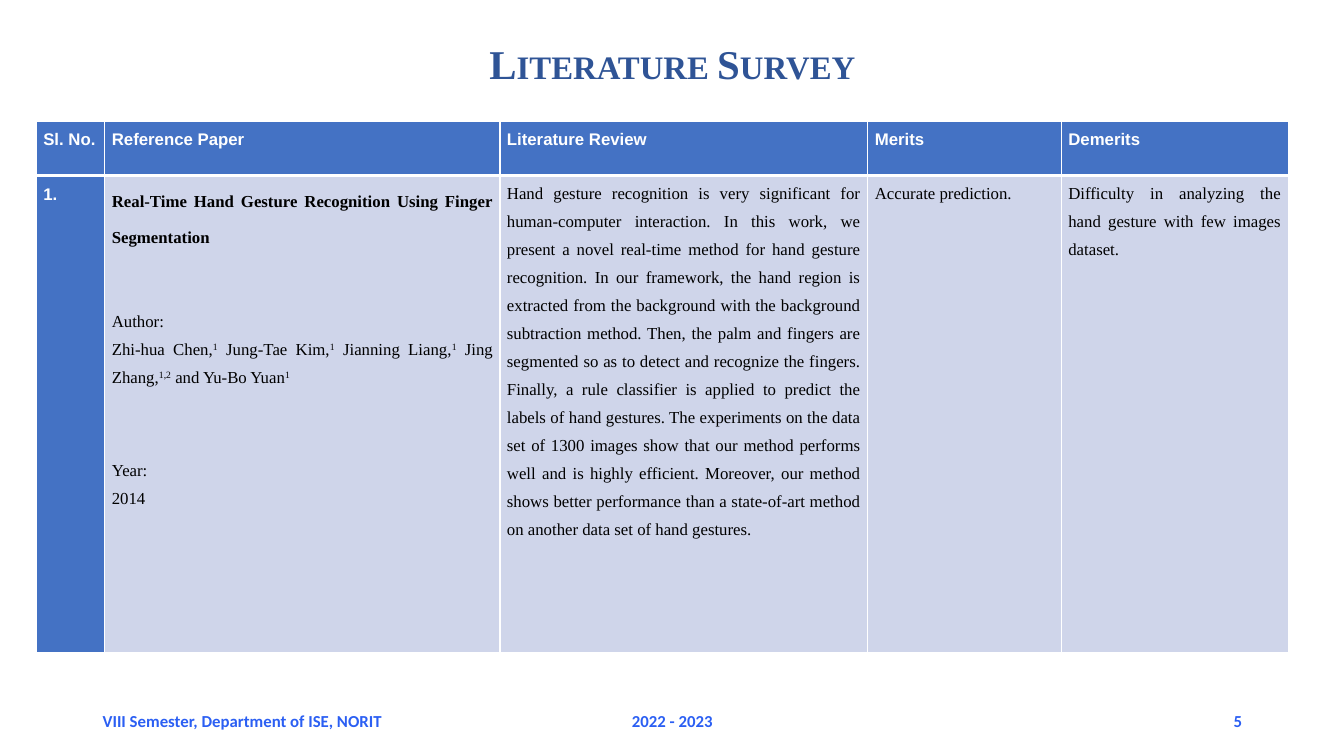
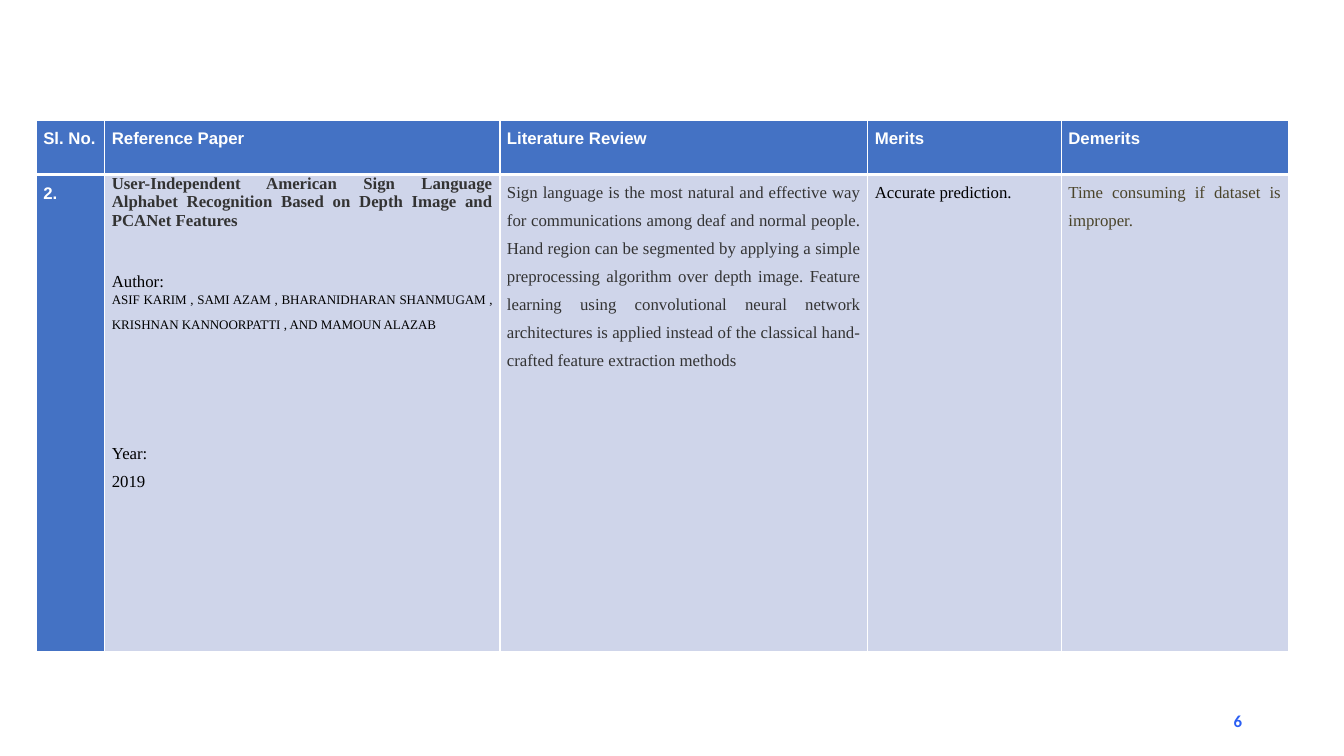
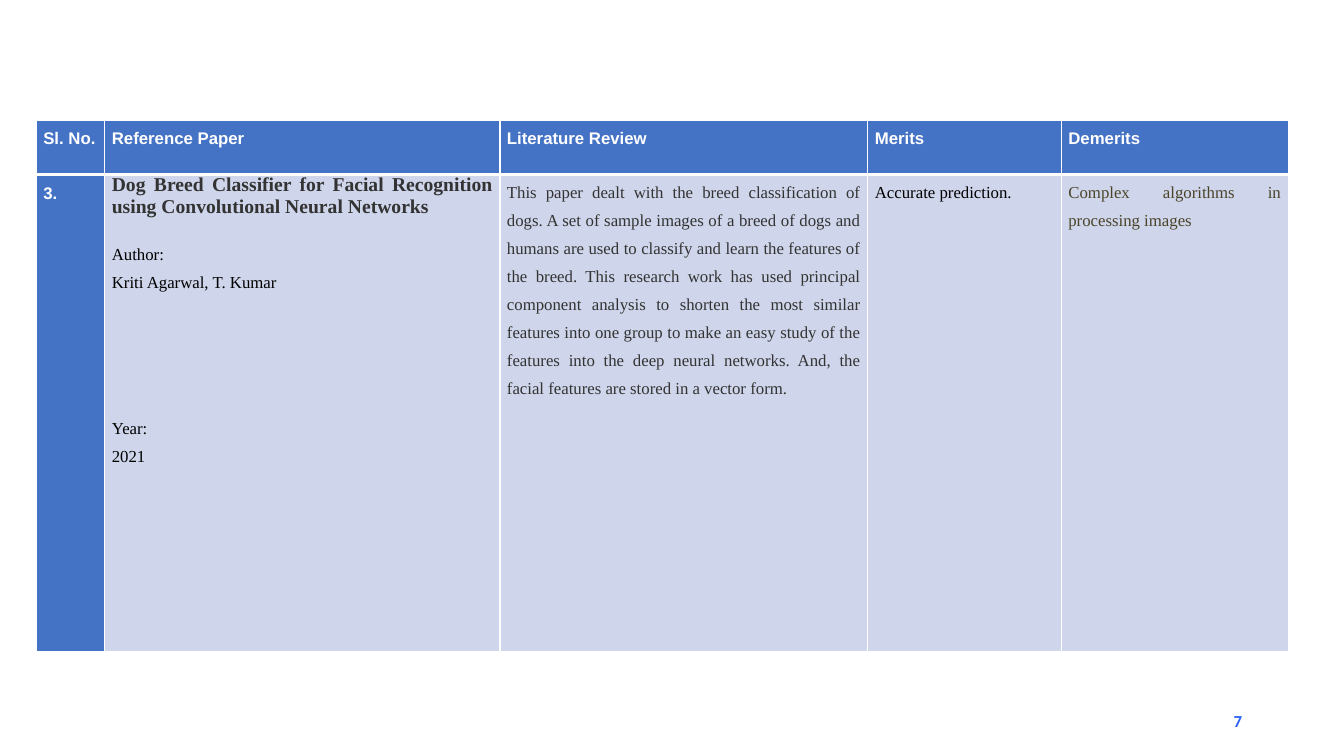
from lxml import etree
from pptx import Presentation
from pptx import util as u
from pptx.dml.color import RGBColor
from pptx.enum import text
from pptx.oxml.ns import qn

PX = 9144  # 100 px to the inch
SERIF, SANS, FOOT = "Times New Roman", "Arial", "Calibri"
BLUE, PALE, WHITE, BLACK = "4472C4", "CFD5EA", "FFFFFF", "000000"
NAVY, LINK, GREY, OLIVE = "2F5496", "2B5FF3", "333333", "4A442A"
AL, MID, LOW = text.PP_ALIGN, text.MSO_ANCHOR.MIDDLE, text.MSO_ANCHOR.BOTTOM


def put(par, words, size=12, font=SERIF, color=BLACK, bold=False,
        align=AL.JUSTIFY, lead=1.5, after=0, **attrs):
    """Add one run to a paragraph; attrs go on the run as they are."""
    par.alignment, par.line_spacing, par.space_after = align, lead, u.Pt(after)
    run = par.add_run()
    run.text = words
    run.font.size, run.font.name, run.font.bold = u.Pt(size), font, bold
    run.font.color.rgb = RGBColor.from_string(color)
    for key, val in attrs.items():
        run.font._element.set(key, val)


def label(slide, box, words, anchor=MID, **look):
    frame = slide.shapes.add_textbox(*[n * PX for n in box]).text_frame
    frame.word_wrap, frame.vertical_anchor = True, anchor
    put(frame.paragraphs[0], words, bold=True, lead=1.0, **look)


# Table grid
HEADS = ["Sl. No.", "Reference Paper", "Literature Review", "Merits", "Demerits"]
COLS, ROWS = [68, 392, 365, 192, 225], [54, 473]
HEAD = dict(font=SANS, color=WHITE, bold=True)
SUP = dict(baseline="30000")

# Each paper: table top, reference paragraphs (runs, look), review, demerit, colours
PAPERS = [
    dict(
        top=120,
        ref=[
            (["Real-Time Hand Gesture Recognition Using Finger Segmentation"],
             dict(bold=True, lead=u.Pt(25.5), after=40)),
            (["Author:"], {}),
            (["Zhi-hua Chen,", "1", " Jung-Tae Kim,", "1", " Jianning Liang,", "1",
              " Jing Zhang,", "1,2", " and Yu-Bo Yuan", "1"], dict(after=47)),
            (["Year:"], {}),
            (["2014"], {}),
        ],
        review="Hand gesture recognition is very significant for human-computer "
               "interaction. In this work, we present a novel real-time method for "
               "hand gesture recognition. In our framework, the hand region is "
               "extracted from the background with the background subtraction "
               "method. Then, the palm and fingers are segmented so as to detect and "
               "recognize the fingers. Finally, a rule classifier is applied to "
               "predict the labels of hand gestures. The experiments on the data set "
               "of 1300 images show that our method performs well and is highly "
               "efficient. Moreover, our method shows better performance than a "
               "state-of-art method on another data set of hand gestures.",
        flaw="Difficulty in analyzing the hand gesture with few images dataset.",
        inks=[BLACK, BLACK],
    ),
    dict(
        top=119,
        ref=[
            (["User-Independent American Sign Language Alphabet Recognition Based "
              "on Depth Image and PCANet Features"],
             dict(bold=True, color=GREY, lead=1.0, after=23.5)),
            (["Author:"], {}),
            (["ASIF KARIM , SAMI AZAM , BHARANIDHARAN SHANMUGAM , KRISHNAN "
              "KANNOORPATTI , AND MAMOUN ALAZAB"],
             dict(size=16, lead=1.0, after=67, **SUP)),
            (["Year:"], {}),
            (["2019"], {}),
        ],
        review="Sign language is the most natural and effective way for "
               "communications among deaf and normal people. Hand region can be "
               "segmented by applying a simple preprocessing algorithm over depth "
               "image. Feature learning using convolutional neural network "
               "architectures is applied instead of the classical hand-crafted "
               "feature extraction methods",
        flaw="Time consuming if dataset is improper.",
        inks=[GREY, OLIVE],
    ),
    dict(
        top=119,
        ref=[
            (["Dog Breed Classifier for Facial Recognition using Convolutional "
              "Neural Networks"],
             dict(size=14, bold=True, color=GREY, lead=1.0, after=13.3)),
            (["Author:"], {}),
            (["Kriti Agarwal, T. Kumar"], dict(after=84)),
            (["Year:"], {}),
            (["2021"], {}),
        ],
        review="This paper dealt with the breed classification of dogs. A set of "
               "sample images of a breed of dogs and humans are used to classify and "
               "learn the features of the breed. This research work has used "
               "principal component analysis to shorten the most similar features "
               "into one group to make an easy study of the features into the deep "
               "neural networks. And, the facial features are stored in a vector "
               "form.",
        flaw="Complex algorithms in processing images",
        inks=[GREY, OLIVE],
    ),
]

deck = Presentation()
deck.slide_width, deck.slide_height = u.Inches(13.333), u.Inches(7.5)

for num, paper in enumerate(PAPERS, 1):
    slide = deck.slides.add_slide(deck.slide_layouts[6])

    # Title and footer
    foot = dict(font=FOOT, color=LINK)
    if num == 1:
        label(slide, (217, 17, 900, 75), "Literature Survey", LOW, size=29.2,
              color=NAVY, align=AL.CENTER, cap="small")
        label(slide, (92, 695, 350, 40), "VIII Semester, Department of ISE, NORIT",
              align=AL.LEFT, **foot)
        label(slide, (442, 695, 450, 40), "2022 - 2023", align=AL.CENTER, **foot)
    label(slide, (942, 695, 300, 40), str(num + 4), align=AL.RIGHT, **foot)

    # Table
    box = (36, paper["top"], sum(COLS), sum(ROWS))
    grid = slide.shapes.add_table(2, 5, *[n * PX for n in box]).table
    grid.horz_banding = False
    for col, wide in zip(grid.columns, COLS):
        col.width = wide * PX
    for row, high in zip(grid.rows, ROWS):
        row.height = high * PX

    # Cell contents: lists of (runs, look)
    ink, tint = paper["inks"]
    body = [
        [([f"{num}."], HEAD)],
        paper["ref"],
        [([paper["review"]], dict(color=ink))],
        [(["Accurate prediction."], {})],
        [([paper["flaw"]], dict(color=tint))],
    ]
    rows = [[[([head], HEAD)] for head in HEADS], body]
    for r, row in enumerate(rows):
        for c, paras in enumerate(row):
            cell = grid.cell(r, c)
            cell.margin_left = cell.margin_right = 7 * PX
            cell.margin_top = cell.margin_bottom = 0

            # White borders, heavier under the header
            heavy = "lnT" if r else "lnB"
            for side in ("lnL", "lnR", "lnT", "lnB"):
                line = etree.SubElement(cell._tc.get_or_add_tcPr(), qn(f"a:{side}"),
                                        w=str(u.Pt(3 if side == heavy else 1)))
                fill = etree.SubElement(line, qn("a:solidFill"))
                etree.SubElement(fill, qn("a:srgbClr"), val=WHITE)
            cell.fill.solid()
            shade = PALE if r and c else BLUE
            cell.fill.fore_color.rgb = RGBColor.from_string(shade)

            # Every second run is a superscript
            frame = cell.text_frame
            for p, (runs, look) in enumerate(paras):
                par = frame.add_paragraph() if p else frame.paragraphs[0]
                for i, words in enumerate(runs):
                    put(par, words, **{**look, **(SUP if i % 2 else {})})

deck.save("out.pptx")
